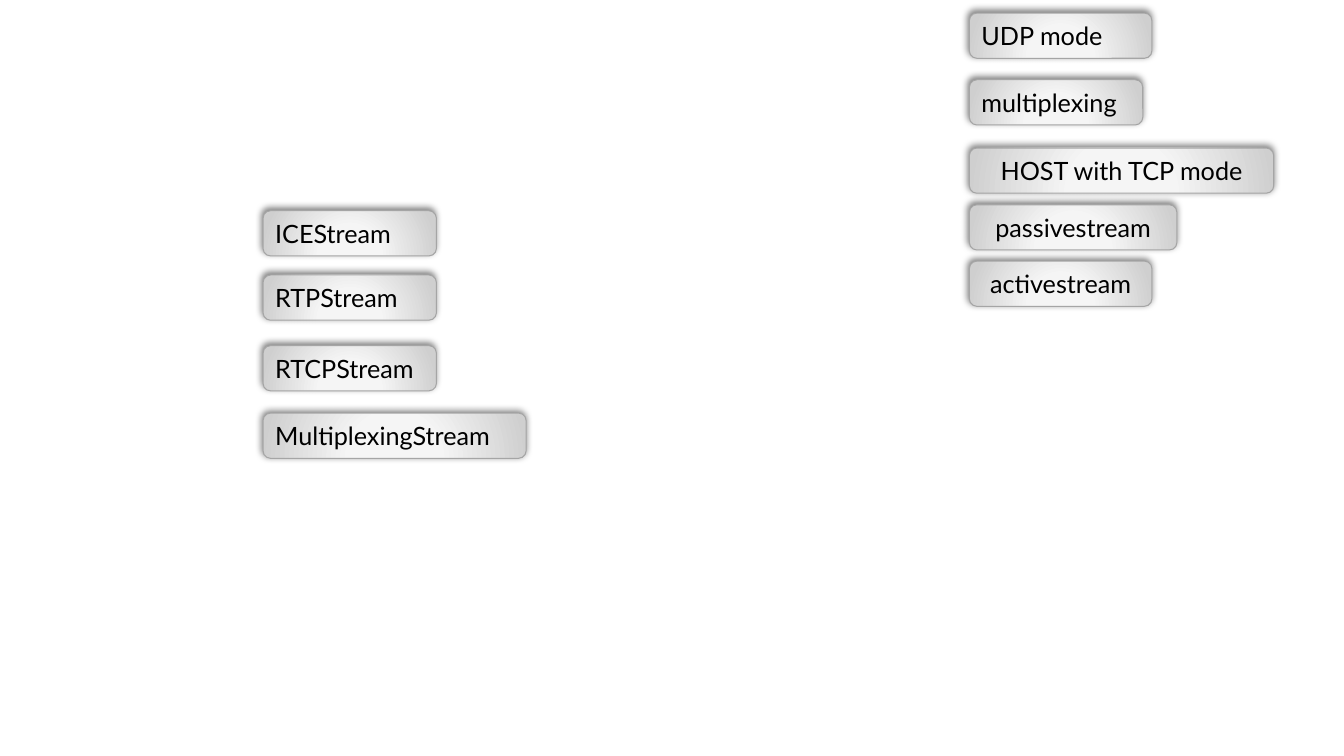
"""Build a slide with two columns of stream labels."""
from dataclasses import dataclass

from pptx import Presentation
from pptx.dml.color import RGBColor
from pptx.enum.shapes import MSO_SHAPE
from pptx.enum.text import MSO_ANCHOR, MSO_AUTO_SIZE, PP_ALIGN
from pptx.oxml import parse_xml
from pptx.oxml.ns import nsdecls, qn
from pptx.util import Cm, Pt


@dataclass(frozen=True)
class Theme:
    font: str = "Lato"
    size: int = 18
    text: str = "000000"
    edge: str = "A5A5A5"
    shade: str = "000000"
    stops: tuple = ((0, "F8F8F8"), (34, "F5F5F5"), (100, "CFCFCF"))


theme = Theme()
LEFT, MID = PP_ALIGN.LEFT, PP_ALIGN.CENTER
HIGH = 1.14
columns = [
    (24.43, [
        ("UDP mode", 0.33, 4.6, LEFT),
        ("multiplexing", 2.01, 4.37, LEFT),
        ("HOST with TCP mode", 3.73, 7.67, MID),
        ("passivestream", 5.16, 5.23, MID),
        ("activestream", 6.58, 4.6, MID),
    ]),
    (6.63, [
        ("ICEStream", 5.31, 4.37, LEFT),
        ("RTPStream", 6.93, 4.37, LEFT),
        ("RTCPStream", 8.71, 4.37, LEFT),
        ("MultiplexingStream", 10.41, 6.63, LEFT),
    ]),
]

stops = "".join(
    f'<a:gs pos="{at * 1000}"><a:srgbClr val="{tone}"/></a:gs>'
    for at, tone in theme.stops
)
glow = (
    f'<a:gradFill {nsdecls("a")} rotWithShape="1"><a:gsLst>{stops}</a:gsLst>'
    '<a:path path="circle"><a:fillToRect l="50000" t="155000" r="50000" b="-55000"/>'
    '</a:path></a:gradFill>'
)
shadow = (
    f'<a:outerShdw {nsdecls("a")} blurRad="{Pt(5)}" dist="{Pt(2)}" '
    f'dir="{245 * 60000}" algn="tl" rotWithShape="0">'
    f'<a:srgbClr val="{theme.shade}"><a:alpha val="50000"/></a:srgbClr></a:outerShdw>'
)

deck = Presentation()
deck.slide_width, deck.slide_height = Cm(33.87), Cm(19.05)
slide = deck.slides.add_slide(deck.slide_layouts[6])

for left, labels in columns:
    for words, top, width, align in labels:
        box = slide.shapes.add_shape(
            MSO_SHAPE.ROUNDED_RECTANGLE, Cm(left), Cm(top), Cm(width), Cm(HIGH)
        )
        box.line.color.rgb = RGBColor.from_string(theme.edge)
        box.line.width = Pt(0.75)
        box.fill.background()
        box.shadow.inherit = False
        props = box.element.spPr
        props.replace(props.find(qn("a:noFill")), parse_xml(glow))
        props.find(qn("a:effectLst")).append(parse_xml(shadow))

        frame = box.text_frame
        frame.word_wrap = True
        frame.auto_size = MSO_AUTO_SIZE.SHAPE_TO_FIT_TEXT
        frame.vertical_anchor = MSO_ANCHOR.MIDDLE
        para = frame.paragraphs[0]
        para.alignment = align
        run = para.add_run()
        run.text = words
        run.font.name = theme.font
        run.font.size = Pt(theme.size)
        run.font.color.rgb = RGBColor.from_string(theme.text)

deck.save("out.pptx")
